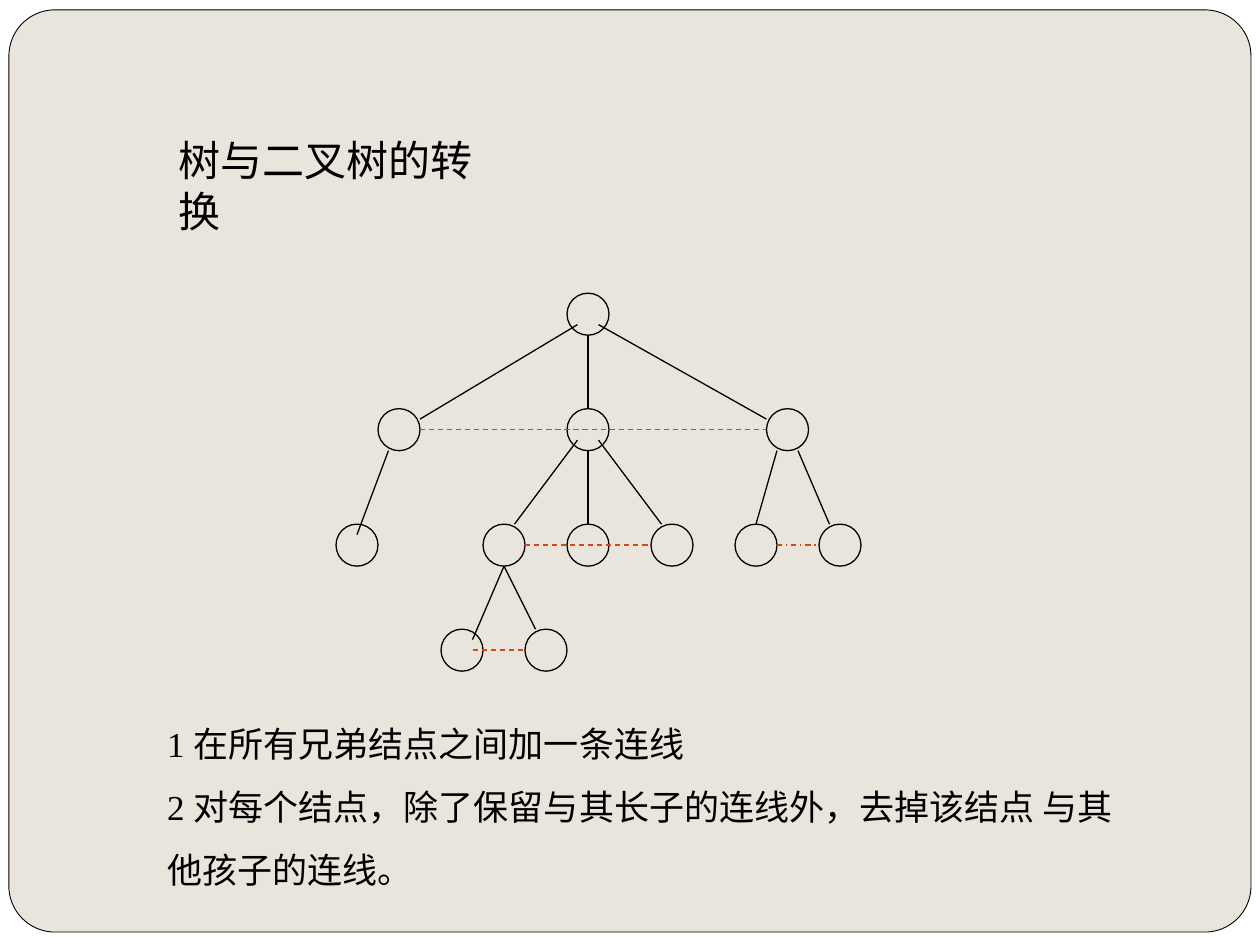
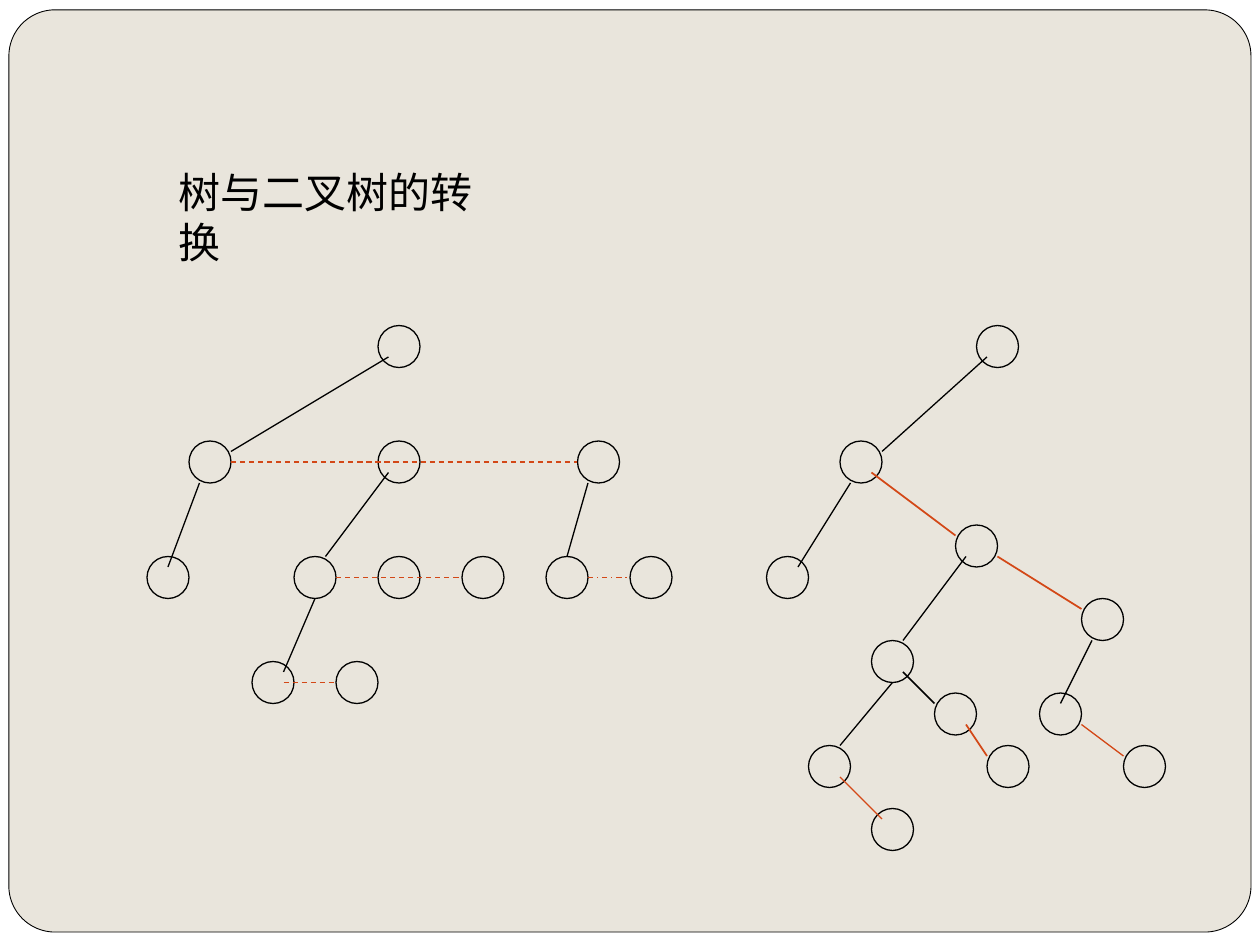
from typing import NamedTuple

from lxml.etree import SubElement
from pptx import Presentation
from pptx.dml.color import RGBColor
from pptx.enum.dml import MSO_LINE
from pptx.enum.shapes import MSO_CONNECTOR, MSO_SHAPE
from pptx.enum.text import MSO_AUTO_SIZE
from pptx.oxml.ns import qn
from pptx.presentation import Presentation as Deck
from pptx.slide import Slide
from pptx.util import Cm, Length, Pt

BLACK = RGBColor(0x00, 0x00, 0x00)
WHITE = RGBColor(0xFF, 0xFF, 0xFF)
SAND = RGBColor(0xE9, 0xE5, 0xDC)
ORANGE = RGBColor(0xD3, 0x48, 0x17)

FONT = "Times New Roman"
TITLE = "树与二叉树的转换"
STEPS = [
    "1 在所有兄弟结点之间加一条连线",
    "2 对每个结点，除了保留与其长子的连线外，去掉该结点 与其他孩子的连线。",
]

GRID = 2.54 / 12  # centimetres per grid step
NODE_SIZE = 4  # grid steps

# Anchor points, in grid steps from the top left corner of a node
TOP, TOP_LEFT, TOP_RIGHT = (2, 0), (1, 0), (3, 0)
BOTTOM, BOTTOM_LEFT, BOTTOM_RIGHT = (2, 4), (1, 4), (3, 4)
LEFT, RIGHT = (0, 2), (4, 2)
LEFT_HIGH, RIGHT_HIGH, RIGHT_LOW = (0, 1), (4, 1), (4, 3)
INNER_LEFT, INNER_RIGHT = (1, 3), (3, 3)
INNER_TOP, INNER_TOP_LEFT, INNER_TOP_RIGHT = (2, 1), (1, 1), (3, 1)
INNER_SIDE = (3, 2)

Point = tuple[float, float]


class Edge(NamedTuple):
    start: str
    end: str
    start_anchor: Point
    end_anchor: Point
    color: RGBColor = BLACK
    width: float = 0.75
    dash: MSO_LINE | None = None


TREE_NODES: dict[str, Point] = {
    "root": (36, 31),
    "a": (18, 42), "b": (36, 42), "c": (55, 42),
    "a1": (14, 53), "b1": (28, 53), "b2": (36, 53), "b3": (44, 53),
    "c1": (52, 53), "c2": (60, 53),
    "b11": (24, 63), "b12": (32, 63),
}
FIRST_CHILD_EDGES = [
    Edge("root", "a", INNER_LEFT, RIGHT_HIGH),
    Edge("a", "a1", BOTTOM_LEFT, INNER_TOP),
    Edge("b", "b1", INNER_LEFT, TOP_RIGHT),
    Edge("c", "c1", BOTTOM_LEFT, TOP),
    Edge("b1", "b11", BOTTOM, INNER_TOP_RIGHT),
]
OTHER_CHILD_EDGES = [
    Edge("root", "b", BOTTOM, TOP),
    Edge("root", "c", INNER_RIGHT, LEFT_HIGH),
    Edge("b", "b2", BOTTOM, TOP),
    Edge("b", "b3", INNER_RIGHT, TOP_LEFT),
    Edge("c", "c2", BOTTOM_RIGHT, TOP_LEFT),
    Edge("b1", "b12", BOTTOM, TOP_LEFT),
]
SIBLING_EDGES = [
    Edge("a", "c", RIGHT, LEFT, ORANGE, dash=MSO_LINE.DASH),
    Edge("b1", "b3", RIGHT, LEFT, ORANGE, dash=MSO_LINE.DASH),
    Edge("b11", "b12", INNER_SIDE, LEFT, ORANGE, dash=MSO_LINE.DASH),
    Edge("c1", "c2", RIGHT, LEFT, ORANGE, dash=MSO_LINE.DASH_DOT),
]

BINARY_NODES: dict[str, Point] = {
    "root": (93, 31),
    "a": (80, 42), "b": (91, 50), "c": (103, 57),
    "a1": (73, 53), "b1": (83, 61), "b2": (89, 66), "b3": (94, 71),
    "c1": (99, 66), "c2": (107, 71),
    "b11": (77, 71), "b12": (83, 77),
}
BINARY_EDGES = [
    Edge("root", "a", INNER_LEFT, RIGHT_HIGH),
    Edge("a", "a1", BOTTOM_LEFT, INNER_TOP_RIGHT),
    Edge("b", "b1", INNER_LEFT, TOP_RIGHT),
    Edge("c", "c1", BOTTOM_LEFT, INNER_TOP),
    Edge("b1", "b11", BOTTOM, TOP_RIGHT),
    Edge("b11", "b12", INNER_RIGHT, INNER_TOP_LEFT, ORANGE),
    Edge("c1", "c2", RIGHT_LOW, LEFT_HIGH, ORANGE),
    Edge("a", "b", INNER_RIGHT, LEFT_HIGH, ORANGE, 1),
    Edge("b", "c", RIGHT_LOW, LEFT_HIGH, ORANGE, 1),
    Edge("b1", "b2", INNER_RIGHT, LEFT_HIGH, BLACK, 1),
    Edge("b2", "b3", INNER_RIGHT, LEFT_HIGH, ORANGE, 1),
]


def steps(count: float) -> Length:
    """Convert grid steps to a length."""
    return Cm(count * GRID)


def add_text(page: Slide, lines: list[str], left: float, top: float,
             width: float, height: float, size: int, spacing: float = 1) -> None:
    box = page.shapes.add_textbox(Cm(left), Cm(top), Cm(width), Cm(height))
    frame = box.text_frame
    frame.word_wrap = True
    frame.auto_size = MSO_AUTO_SIZE.SHAPE_TO_FIT_TEXT
    frame.text = "\n".join(lines)
    for para in frame.paragraphs:
        para.line_spacing = spacing
        para.font.name = FONT
        para.font.size = Pt(size)
        para.font.color.rgb = BLACK


def add_page(deck: Deck, title_top: float) -> Slide:
    """Add a white page with the rounded sand panel and the title."""
    page = deck.slides.add_slide(deck.slide_layouts[6])
    page.background.fill.solid()
    page.background.fill.fore_color.rgb = WHITE
    panel = page.shapes.add_shape(MSO_SHAPE.ROUNDED_RECTANGLE,
                                  Cm(0.18), Cm(0.2), Cm(25.04), Cm(18.59))
    panel.adjustments[0] = 0.05
    panel.shadow.inherit = False
    panel.fill.solid()
    panel.fill.fore_color.rgb = SAND
    panel.line.color.rgb = BLACK
    panel.line.width = Pt(0.5)
    add_text(page, [TITLE], 3.35, title_top, 7.24, 1.27, 24)
    return page


def add_node(page: Slide, left: float, top: float) -> None:
    node = page.shapes.add_shape(MSO_SHAPE.OVAL, steps(left), steps(top),
                                 steps(NODE_SIZE), steps(NODE_SIZE))
    node.shadow.inherit = False
    node.fill.background()
    node.line.color.rgb = BLACK
    node.line.width = Pt(0.75)


def add_edge(page: Slide, edge: Edge, nodes: dict[str, Point]) -> None:
    ends = [(nodes[edge.start], edge.start_anchor),
            (nodes[edge.end], edge.end_anchor)]
    lengths = [steps(corner + offset)
               for node, anchor in ends for corner, offset in zip(node, anchor)]
    connector = page.shapes.add_connector(MSO_CONNECTOR.STRAIGHT, *lengths)
    connector.line.color.rgb = edge.color
    connector.line.width = Pt(edge.width)
    if edge.dash is not None:
        connector.line.dash_style = edge.dash
    SubElement(connector._element.spPr, qn("a:effectLst"))


def add_tree(page: Slide, nodes: dict[str, Point], edges: list[Edge],
             right: float = 0, down: float = 0) -> None:
    """Draw a tree, moved right and down by the given grid steps."""
    placed = {name: (left + right, top + down)
              for name, (left, top) in nodes.items()}
    for left, top in placed.values():
        add_node(page, left, top)
    for edge in edges:
        add_edge(page, edge, placed)


def main() -> None:
    deck = Presentation()
    deck.slide_width, deck.slide_height = Cm(25.4), Cm(19.05)

    linking = add_page(deck, title_top=2.59)
    add_tree(linking, TREE_NODES,
             FIRST_CHILD_EDGES + OTHER_CHILD_EDGES + SIBLING_EDGES,
             right=18, down=-3.08)
    add_text(linking, STEPS, 3.12, 14.02, 20.09, 4.11, 20, spacing=1.5)

    converting = add_page(deck, title_top=3.23)
    add_tree(converting, TREE_NODES, FIRST_CHILD_EDGES + SIBLING_EDGES)
    add_tree(converting, BINARY_NODES, BINARY_EDGES)

    deck.save("out.pptx")


if __name__ == "__main__":
    main()
